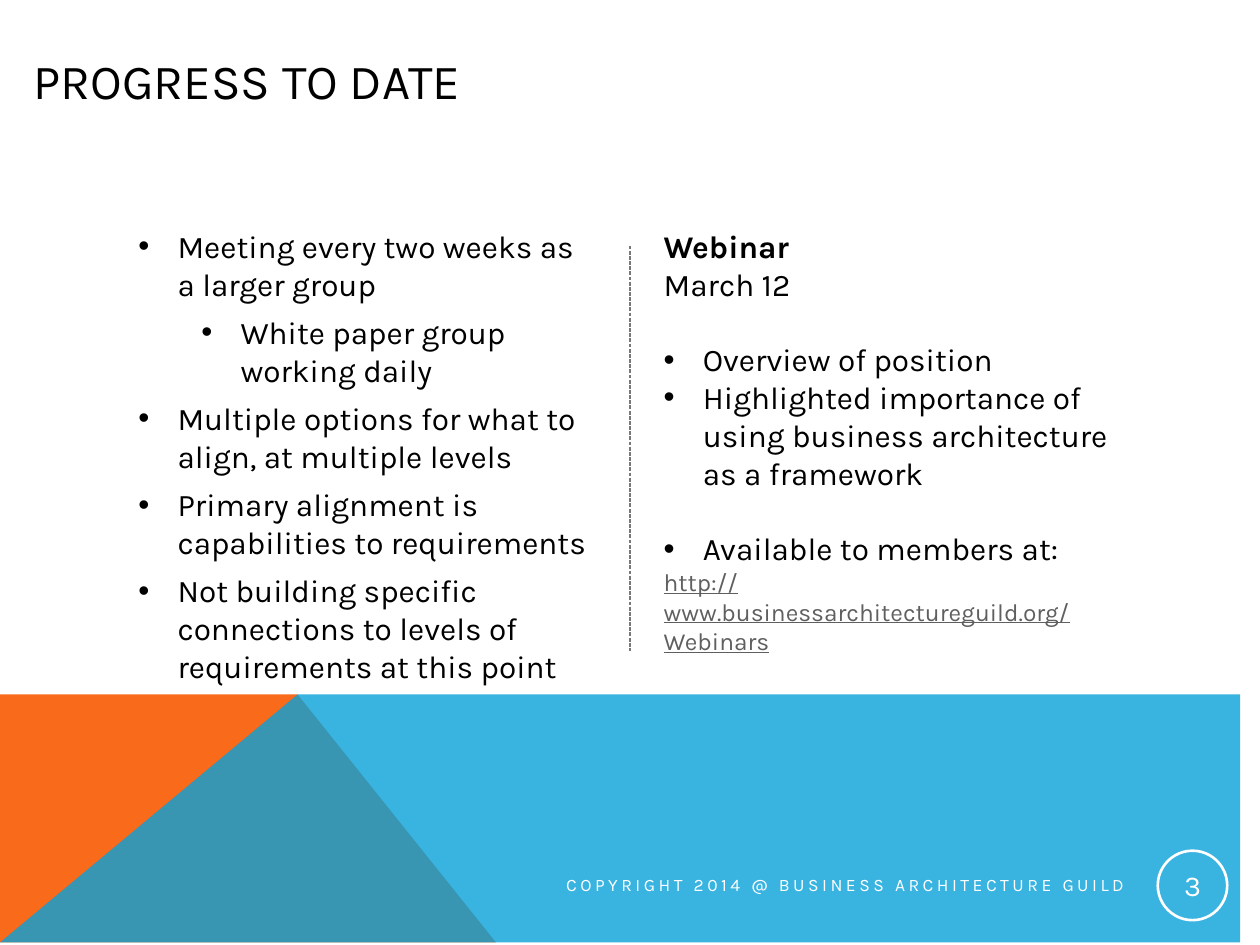
from dataclasses import dataclass

from lxml import etree
from pptx import Presentation
from pptx.dml.color import RGBColor
from pptx.enum.dml import MSO_LINE
from pptx.enum.shapes import MSO_CONNECTOR, MSO_SHAPE
from pptx.enum.text import MSO_ANCHOR, PP_ALIGN
from pptx.oxml.ns import qn
from pptx.util import Cm, Pt

FONT = "Karla"
BLACK, WHITE, GREY = "000000", "FFFFFF", "5F5F5F"
ORANGE, BLUE, RULE = "F96A1B", "08A1D9", "76787B"
LEFT, CENTER, RIGHT = PP_ALIGN.LEFT, PP_ALIGN.CENTER, PP_ALIGN.RIGHT
TOP, MIDDLE = MSO_ANCHOR.TOP, MSO_ANCHOR.MIDDLE
OVAL, STRAIGHT = MSO_SHAPE.OVAL, MSO_CONNECTOR.STRAIGHT
SHORT_DASH = MSO_LINE.SQUARE_DOT

PAGE_WIDTH, PAGE_HEIGHT = 25.4, 19.05
BAND_TOP, PEAK, FOOT = 14.02, 5.66, 9.93
HANG, LEVEL_STEP = 0.79, 1.27
BLANK_LINE = 21.6


@dataclass
class Para:
    text: str
    size: float = 18
    color: str = BLACK
    bold: bool = False
    underline: bool = False
    bullet: bool = False
    level: int = 0
    before: float = 0
    after: float = 0
    align: PP_ALIGN = LEFT
    spacing: int = 0


def rgb(value: str) -> RGBColor:
    return RGBColor.from_string(value)


def add_bullet(paragraph, level: int) -> None:
    properties = paragraph._p.get_or_add_pPr()
    properties.set("marL", str(Cm(HANG + level * LEVEL_STEP)))
    properties.set("indent", str(-Cm(HANG)))
    etree.SubElement(properties, qn("a:buFont")).set("typeface", "Arial")
    etree.SubElement(properties, qn("a:buChar")).set("char", "•")


def write(frame, paras: list[Para], anchor: MSO_ANCHOR) -> None:
    frame.word_wrap = True
    frame.vertical_anchor = anchor
    for index, para in enumerate(paras):
        paragraph = frame.add_paragraph() if index else frame.paragraphs[0]
        paragraph.alignment = para.align
        paragraph.level = para.level
        paragraph.space_before = Pt(para.before)
        paragraph.space_after = Pt(para.after)
        if para.bullet:
            add_bullet(paragraph, para.level)
        span = paragraph.add_run()
        span.text = para.text
        span.font.name = FONT
        span.font.size = Pt(para.size)
        span.font.bold = para.bold
        span.font.underline = para.underline
        span.font.color.rgb = rgb(para.color)
        if para.spacing:
            span.font._element.set("spc", str(para.spacing * 100))


def add_text(page, left: float, top: float, width: float, height: float,
             paras: list[Para], anchor: MSO_ANCHOR = TOP) -> None:
    box = page.shapes.add_textbox(Cm(left), Cm(top), Cm(width), Cm(height))
    write(box.text_frame, paras, anchor)


def add_polygon(page, points: list[tuple[float, float]], color: str,
                opacity: int = 100) -> None:
    builder = page.shapes.build_freeform(*points[0], scale=Cm(1))
    builder.add_line_segments(points[1:], close=True)
    shape = builder.convert_to_shape()
    shape.shadow.inherit = False
    shape.line.fill.background()
    shape.fill.solid()
    shape.fill.fore_color.rgb = rgb(color)
    if opacity < 100:
        tint = shape._element.spPr.find(qn("a:solidFill"))[0]
        etree.SubElement(tint, qn("a:alpha")).set("val", str(opacity * 1000))


def add_page_number(page, number: str) -> None:
    badge = page.shapes.add_shape(OVAL, Cm(23.34), Cm(17.15), Cm(1.4), Cm(1.4))
    badge.shadow.inherit = False
    badge.fill.background()
    badge.line.color.rgb = rgb(WHITE)
    badge.line.width = Pt(1.5)
    frame = badge.text_frame
    frame.margin_left = frame.margin_right = Cm(0.03)
    frame.margin_top = frame.margin_bottom = Cm(0.03)
    write(frame, [Para(number, 16.5, WHITE, align=CENTER)], MIDDLE)


def add_divider(page, x: float, top: float, bottom: float) -> None:
    rule = page.shapes.add_connector(STRAIGHT, Cm(x), Cm(top), Cm(x), Cm(bottom))
    rule.line.color.rgb = rgb(RULE)
    rule.line.width = Pt(0.75)
    rule.line.dash_style = SHORT_DASH
    etree.SubElement(rule._element.spPr, qn("a:effectLst"))


def main() -> None:
    deck = Presentation()
    deck.slide_width, deck.slide_height = Cm(PAGE_WIDTH), Cm(PAGE_HEIGHT)
    page = deck.slides.add_slide(deck.slide_layouts[6])

    add_polygon(page, [(0, PAGE_HEIGHT), (0, BAND_TOP), (PEAK, BAND_TOP),
                       (FOOT, PAGE_HEIGHT)], ORANGE)
    add_polygon(page, [(0, PAGE_HEIGHT), (PEAK, BAND_TOP), (PAGE_WIDTH, BAND_TOP),
                       (PAGE_WIDTH, PAGE_HEIGHT)], BLUE, 80)

    add_text(page, 0.43, 0.43, 18.85, 2.36, [Para("PROGRESS TO DATE", 28)], MIDDLE)
    add_text(page, 9.78, 17.45, 13.13, 0.76,
             [Para("COPYRIGHT 2014 @ BUSINESS ARCHITECTURE GUILD", 10, WHITE,
                   align=RIGHT, spacing=2)], MIDDLE)
    add_page_number(page, "3")

    progress = [
        ("Meeting every two weeks as a larger group", 0),
        ("White paper group working daily", 1),
        ("Multiple options for what to align, at multiple levels", 0),
        ("Primary alignment is capabilities to requirements", 0),
        ("Not building specific connections to levels of requirements "
         "at this point", 0),
    ]
    add_text(page, 2.54, 4.45, 9.73, 9.58,
             [Para(text, bullet=True, level=level, after=6)
              for text, level in progress])

    add_text(page, 13.13, 4.45, 9.63, 9.5, [
        Para("Webinar", bold=True),
        Para("March 12"),
        Para("Overview of position", bullet=True, before=BLANK_LINE),
        Para("Highlighted importance of using business architecture "
             "as a framework", bullet=True),
        Para("Available to members at:", bullet=True, before=BLANK_LINE),
        Para("http://www.businessarchitectureguild.org/Webinars", 14, GREY,
             underline=True),
    ])
    add_divider(page, PAGE_WIDTH / 2, 4.95, 13.13)

    deck.save("out.pptx")


if __name__ == "__main__":
    main()
